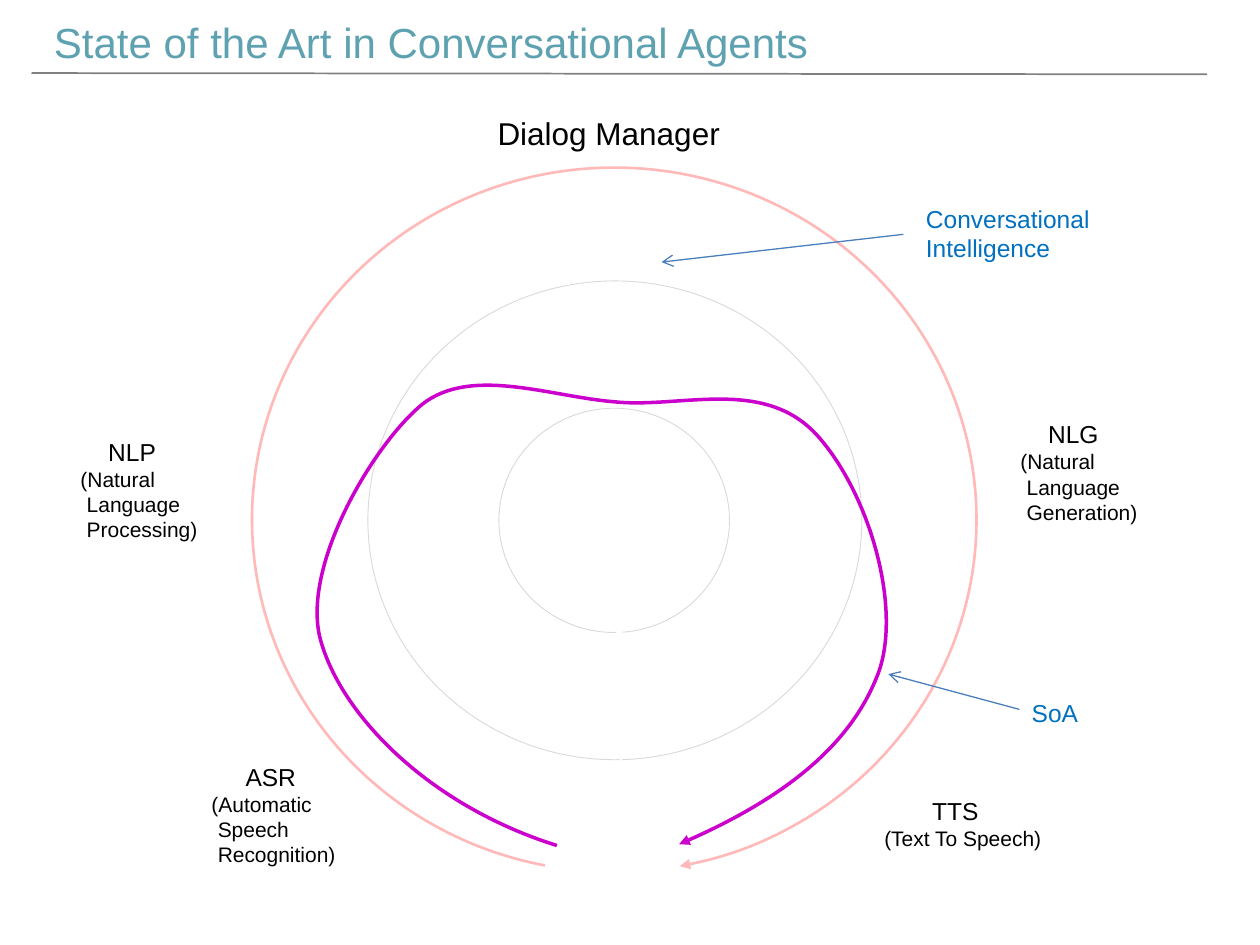
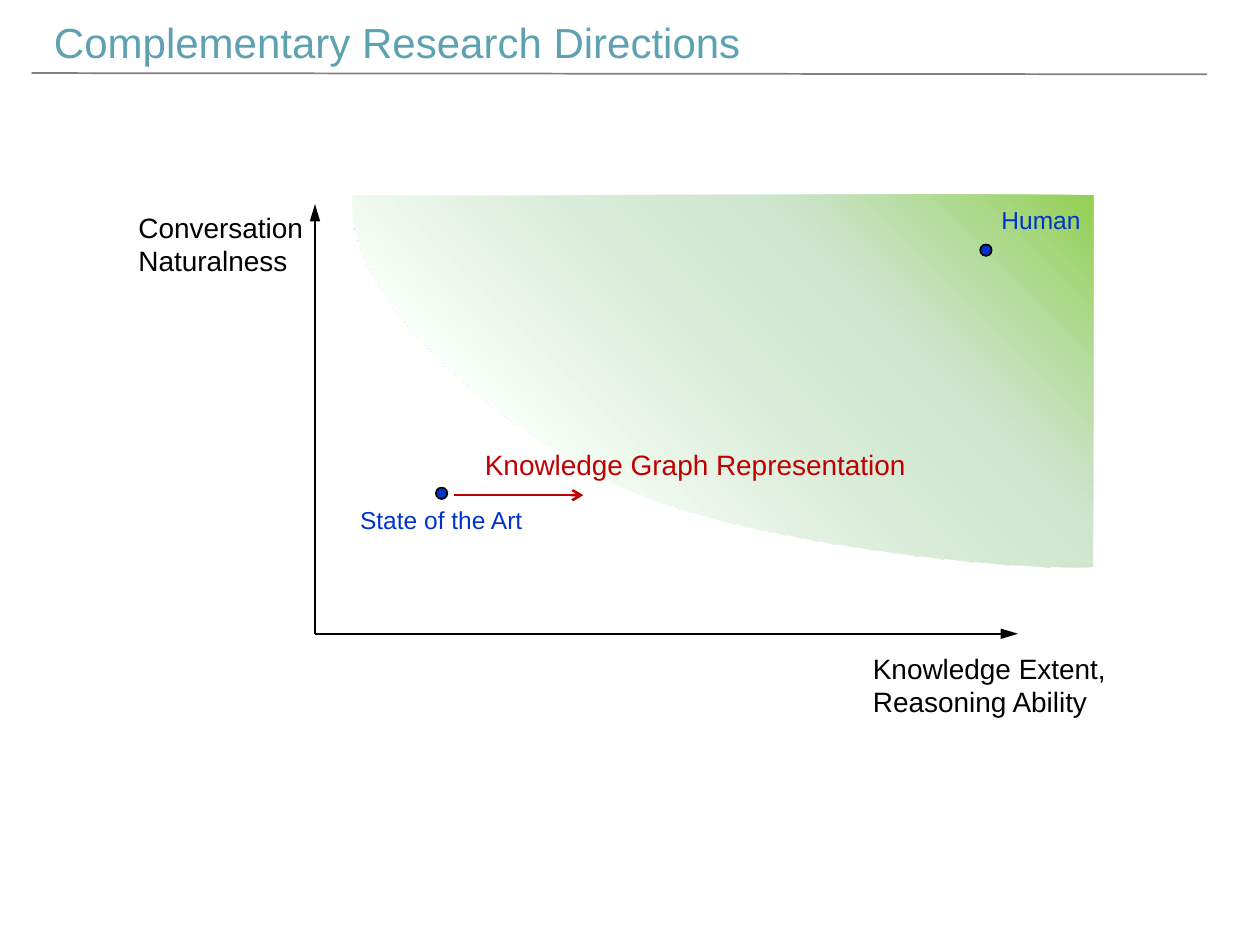
from dataclasses import dataclass
from typing import Optional

from lxml import etree
from pptx import Presentation
from pptx.dml.color import RGBColor
from pptx.enum.shapes import MSO_CONNECTOR, MSO_SHAPE
from pptx.enum.text import MSO_AUTO_SIZE
from pptx.oxml.ns import qn
from pptx.util import Inches, Pt

STRAIGHT = MSO_CONNECTOR.STRAIGHT
ARC = MSO_SHAPE.ARC
OVAL = MSO_SHAPE.OVAL
FIT_SHAPE = MSO_AUTO_SIZE.SHAPE_TO_FIT_TEXT

SLIDE_W, SLIDE_H = Inches(10), Inches(7.5)
COLUMN, ROW = SLIDE_W / 100, SLIDE_H / 75
FONT = "Arial"
ARC_UNITS_PER_DEGREE = 0.6
COLORS = {
    "title": "5EA1B0", "rule": "808080", "text": "000000",
    "outer_ring": "FFB9B9", "inner_ring": "D9D9D9", "soa_loop": "CC00CC",
    "pointer": "4B7EBC", "callout": "0070C0",
    "milestone": "0033CC", "direction": "C00000",
    "ideal": "92D050", "advanced": "B5D9B5", "basic": "F9FFF9",
}

Point = tuple[float, float]
Curve = tuple[Point, Point, Point]


@dataclass(frozen=True)
class Line:
    text: str
    size: float
    indent: float = 0


@dataclass(frozen=True)
class Label:
    col: float
    row: float
    cols: float
    rows: float
    lines: tuple[Line, ...]
    color: str = "text"


@dataclass(frozen=True)
class Stroke:
    color: str
    width: float
    head: Optional[str] = None
    head_length: str = "med"


@dataclass(frozen=True)
class Segment:
    start: Point
    end: Point
    stroke: Stroke


@dataclass(frozen=True)
class Ring:
    col: float
    row: float
    cols: float
    rows: float
    start_degrees: float
    end_degrees: float
    stroke: Stroke


@dataclass(frozen=True)
class Stop:
    percent: int
    color: str
    opacity: int = 100


def lines(size: float, *texts: str) -> tuple[Line, ...]:
    return tuple(Line(text, size) for text in texts)


def expansion(acronym: str, indent: float, first: str, *rest: str) -> tuple[Line, ...]:
    return (Line(acronym, 14, indent), Line(first, 12),
            *(Line(word, 12, 0.5) for word in rest))


def rgb(name: str) -> RGBColor:
    return RGBColor.from_string(COLORS[name])


def x(cols: float) -> int:
    return round(cols * COLUMN)


def y(rows: float) -> int:
    return round(rows * ROW)


def apply_stroke(item, stroke: Stroke) -> None:
    item.line.color.rgb = rgb(stroke.color)
    item.line.width = Pt(stroke.width)
    if stroke.head:
        outline = item._element.spPr.find(qn("a:ln"))
        etree.SubElement(outline, qn("a:tailEnd"), type=stroke.head,
                         w="med", len=stroke.head_length)


def draw_label(slide, label: Label) -> None:
    box = slide.shapes.add_textbox(x(label.col), y(label.row), x(label.cols), y(label.rows))
    frame = box.text_frame
    frame.word_wrap = False
    frame.auto_size = FIT_SHAPE
    for index, line in enumerate(label.lines):
        paragraph = frame.add_paragraph() if index else frame.paragraphs[0]
        if line.indent:
            properties = paragraph._p.get_or_add_pPr()
            properties.set("marL", str(x(line.indent)))
            properties.set("indent", "0")
        run = paragraph.add_run()
        run.text = line.text
        run.font.name = FONT
        run.font.size = Pt(line.size)
        run.font.color.rgb = rgb(label.color)


def draw_segment(slide, segment: Segment) -> None:
    (left, top), (right, bottom) = segment.start, segment.end
    connector = slide.shapes.add_connector(STRAIGHT, x(left), y(top), x(right), y(bottom))
    apply_stroke(connector, segment.stroke)
    etree.SubElement(connector._element.spPr, qn("a:effectLst"))


def draw_ring(slide, ring: Ring) -> None:
    arc = slide.shapes.add_shape(ARC, x(ring.col), y(ring.row), x(ring.cols), y(ring.rows))
    arc.adjustments[0] = ring.start_degrees * ARC_UNITS_PER_DEGREE
    arc.adjustments[1] = ring.end_degrees * ARC_UNITS_PER_DEGREE
    arc.shadow.inherit = False
    arc.fill.background()
    apply_stroke(arc, ring.stroke)


def draw_curve(slide, start: Point, curves: tuple[Curve, ...], closed: bool):
    builder = slide.shapes.build_freeform(x(start[0]), y(start[1]))
    builder.add_line_segments([(x(c), y(r)) for *_, (c, r) in curves], close=closed)
    shape = builder.convert_to_shape()
    shape.shadow.inherit = False
    straight_parts = list(shape._element.spPr.iter(qn("a:lnTo")))
    for straight, curve in zip(straight_parts, curves):
        bezier = etree.Element(qn("a:cubicBezTo"))
        for col, row in curve:
            etree.SubElement(bezier, qn("a:pt"), x=str(x(col) - shape.left),
                             y=str(y(row) - shape.top))
        straight.getparent().replace(straight, bezier)
    return shape


def fill_gradient(shape, stops: tuple[Stop, ...], angle: float) -> None:
    shape.fill.gradient()
    shape.fill.gradient_angle = angle
    stop_list = shape._element.spPr.find(".//" + qn("a:gsLst"))
    for old_stop in list(stop_list):
        stop_list.remove(old_stop)
    for stop in stops:
        entry = etree.SubElement(stop_list, qn("a:gs"), pos=str(stop.percent * 1000))
        color = etree.SubElement(entry, qn("a:srgbClr"), val=COLORS[stop.color])
        if stop.opacity < 100:
            etree.SubElement(color, qn("a:alpha"), val=str(stop.opacity * 1000))


def draw_milestone(slide, col: float, row: float) -> None:
    dot = slide.shapes.add_shape(OVAL, x(col), y(row), x(0.9), y(0.9))
    dot.shadow.inherit = False
    dot.fill.solid()
    dot.fill.fore_color.rgb = rgb("milestone")
    apply_stroke(dot, Stroke("text", 1))


def add_titled_slide(deck, title: str, title_cols: float):
    slide = deck.slides.add_slide(deck.slide_layouts[6])
    draw_label(slide, Label(3.3, 0.8, title_cols, 5, lines(24, title), "title"))
    draw_segment(slide, Segment((2.5, 5.8), (95.8, 5.9), Stroke("rule", 1)))
    return slide


INNER_STROKE = Stroke("inner_ring", 0.5)
POINTER = Stroke("pointer", 0.75, "arrow")
AXIS = Stroke("text", 1, "triangle", "lg")
AXES_ORIGIN = (25, 50.3)

RINGS = (
    Ring(20, 13.3, 57.5, 55.9, 101.33, 79.29, Stroke("outer_ring", 1.5, "triangle")),
    Ring(29.2, 22.3, 39.2, 38, 88.88, 88.23, INNER_STROKE),
    Ring(39.6, 32.4, 18.3, 17.8, 89.01, 85.72, INNER_STROKE),
)
AGENT_LABELS = (
    Label(15.8, 60, 11.9, 9.4, expansion("ASR", 2.7, "(Automatic", "Speech", "Recognition)")),
    Label(69.2, 62.7, 14.6, 5.4, expansion("TTS", 3.8, "(Text To Speech)")),
    Label(5.4, 34.2, 11.3, 9.4, expansion("NLP", 2.2, "(Natural", "Language", "Processing)")),
    Label(80, 32.8, 11.3, 9.4, expansion("NLG", 2.2, "(Natural", "Language", "Generation)")),
    Label(38.5, 8.6, 19.8, 4, lines(18, "Dialog Manager")),
    Label(72.5, 15.7, 15.1, 5.7, lines(14, "Conversational", "Intelligence"), "callout"),
    Label(80.9, 54.9, 5.7, 3.4, lines(14, "SoA"), "callout"),
)
POINTERS = (
    Segment((71.7, 18.6), (52.5, 20.8), POINTER),
    Segment((80.9, 56.3), (70.5, 53.5), POINTER),
)
SOA_START = (44.2, 67.1)
SOA_CURVES = (
    ((34, 63.9), (27.2, 56.8), (25.5, 51)),
    ((23.7, 45.2), (29.6, 35.3), (33.5, 32.1)),
    ((37.4, 29), (43.7, 31.5), (48.9, 31.9)),
    ((54.1, 32.4), (60.7, 29.9), (64.9, 34.6)),
    ((69.1, 39.3), (71.7, 48.6), (69.6, 53.7)),
    ((67.6, 58.7), (62.8, 63.2), (53.9, 67)),
)
GOAL_START = (28, 15.5)
GOAL_CURVES = (
    ((27.2, 23.5), (38.8, 33.4), (48.6, 38.3)),
    ((58.4, 43.2), (80.7, 45.3), (86.7, 45)),
    ((86.8, 38.7), (86.8, 26.8), (86.8, 15.5)),
    ((76.8, 15.3), (36.1, 15.6), GOAL_START),
)
GOAL_STOPS = (Stop(0, "ideal"), Stop(29, "advanced", 67), Stop(73, "basic"))
RESEARCH_LABELS = (
    Label(10, 16.2, 15.2, 6.4, lines(16, "Conversation", "Naturalness")),
    Label(68.3, 51.2, 20.7, 6.4, lines(16, "Knowledge Extent,", "Reasoning Ability")),
    Label(78.5, 15.8, 8.3, 3.4, lines(14, "Human"), "milestone"),
    Label(27.6, 39.6, 15, 3.4, lines(14, "State of the Art"), "milestone"),
    Label(37.5, 35, 35.8, 3.7, lines(16, "Knowledge Graph Representation"), "direction"),
)
RESEARCH_ARROWS = (
    Segment(AXES_ORIGIN, (25, 16.2), AXIS),
    Segment(AXES_ORIGIN, (80.8, 50.3), AXIS),
    Segment((36, 39.3), (46.3, 39.3), Stroke("direction", 1.5, "arrow")),
)
MILESTONES = ((34.6, 38.7), (77.8, 19.4))


def build_agents(deck) -> None:
    slide = add_titled_slide(deck, "State of the Art in Conversational Agents", 64.9)
    for ring in RINGS:
        draw_ring(slide, ring)
    soa_loop = draw_curve(slide, SOA_START, SOA_CURVES, closed=False)
    soa_loop.fill.background()
    apply_stroke(soa_loop, Stroke("soa_loop", 2, "triangle"))
    for pointer in POINTERS:
        draw_segment(slide, pointer)
    for label in AGENT_LABELS:
        draw_label(slide, label)


def build_directions(deck) -> None:
    slide = add_titled_slide(deck, "Complementary Research Directions", 57.1)
    goal_region = draw_curve(slide, GOAL_START, GOAL_CURVES, closed=True)
    fill_gradient(goal_region, GOAL_STOPS, 225)
    goal_region.line.fill.background()
    for arrow in RESEARCH_ARROWS:
        draw_segment(slide, arrow)
    for col, row in MILESTONES:
        draw_milestone(slide, col, row)
    for label in RESEARCH_LABELS:
        draw_label(slide, label)


def main() -> None:
    deck = Presentation()
    deck.slide_width, deck.slide_height = SLIDE_W, SLIDE_H
    build_agents(deck)
    build_directions(deck)
    deck.save("out.pptx")


if __name__ == "__main__":
    main()
